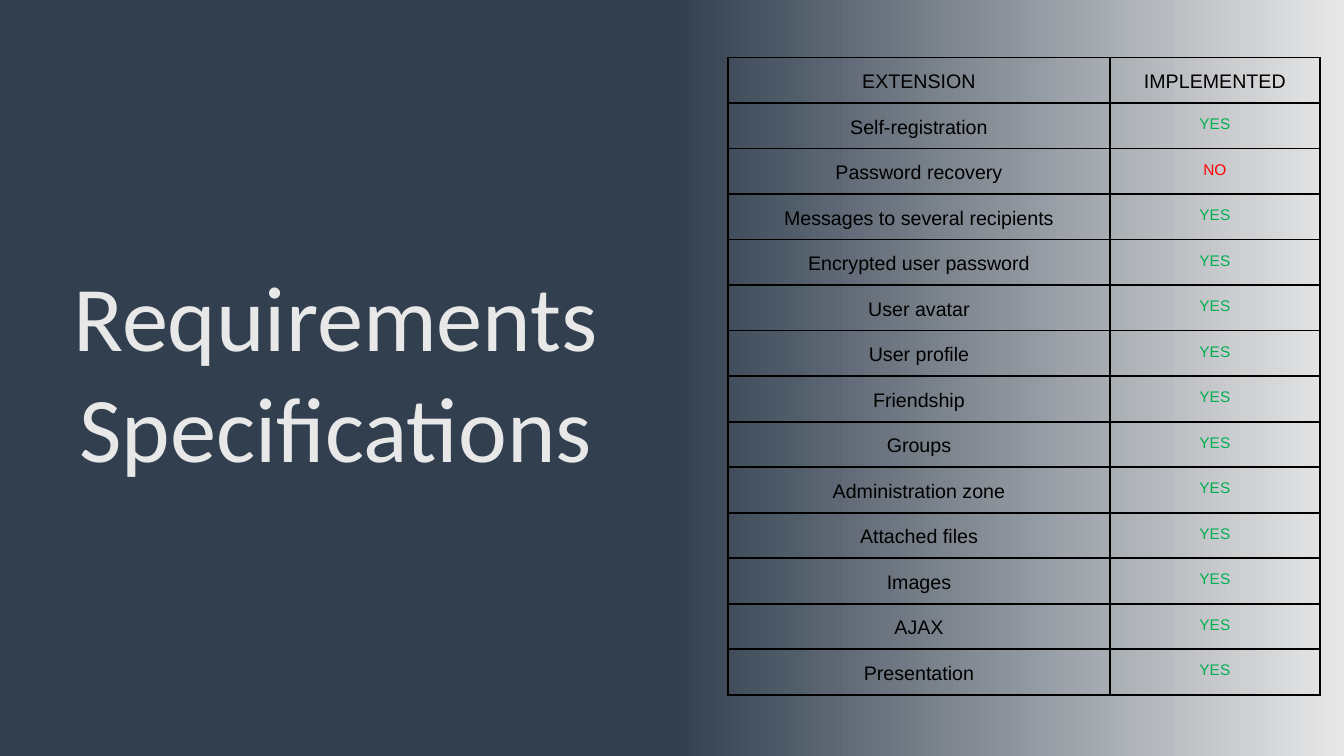
"""Build the requirements specifications slide."""
from copy import deepcopy
from typing import NamedTuple

from lxml import etree
from pptx import Presentation
from pptx.dml.color import RGBColor
from pptx.enum.text import MSO_ANCHOR, MSO_AUTO_SIZE, PP_ALIGN
from pptx.oxml.ns import qn
from pptx.slide import Slide
from pptx.table import _Cell as Cell
from pptx.text.text import TextFrame
from pptx.util import Inches, Pt

CENTER = PP_ALIGN.CENTER
TOP = MSO_ANCHOR.TOP
NO_AUTOFIT = MSO_AUTO_SIZE.NONE
NAVY, LIGHT, BLACK, GREEN, RED = "323F4F", "E8E8E8", "000000", "00B050", "FF0000"
BORDER_SIDES = ("lnL", "lnR", "lnT", "lnB")
COLUMN_WIDTHS = (3.79, 2.08)
ROW_HEIGHT = 0.45
CELL_MARGIN = 0.1


class Extension(NamedTuple):
    """An optional feature and whether it was implemented."""

    name: str
    implemented: bool = True


class TextStyle(NamedTuple):
    """Font, size, colour and line spacing of a text."""

    font: str
    size: float
    color: str
    spacing: float


TITLE_STYLE = TextStyle("Calibri", 66, LIGHT, 1.0)
NAME_STYLE = TextStyle("Arial", 14, BLACK, 1.15)
YES_STYLE = TextStyle("Arial", 11, GREEN, 1.15)
NO_STYLE = TextStyle("Arial", 11, RED, 1.15)

EXTENSIONS = (
    Extension("Self-registration"),
    Extension("Password recovery", False),
    Extension("Messages to several recipients"),
    Extension("Encrypted user password"),
    Extension("User avatar"),
    Extension("User profile"),
    Extension("Friendship"),
    Extension("Groups"),
    Extension("Administration zone"),
    Extension("Attached files"),
    Extension("Images"),
    Extension("AJAX"),
    Extension("Presentation"),
)


def rgb(color: str) -> RGBColor:
    """Turn a hex string into a colour."""
    return RGBColor.from_string(color)


def write_text(text_frame: TextFrame, text: str, style: TextStyle) -> None:
    """Set a centred text and format it."""
    text_frame.text = text
    paragraph = text_frame.paragraphs[0]
    paragraph.alignment = CENTER
    paragraph.line_spacing = style.spacing
    font = paragraph.runs[0].font
    font.name = style.font
    font.size = Pt(style.size)
    font.color.rgb = rgb(style.color)


def paint_background(slide: Slide) -> None:
    """Fill the left half with navy and fade the right half to light grey."""
    fill = slide.background.fill
    fill.gradient()
    fill.gradient_angle = 0
    for stop, position, color in zip(fill.gradient_stops, (0.5, 1.0), (NAVY, LIGHT)):
        stop.position = position
        stop.color.rgb = rgb(color)
    stop_list = slide.element.xpath(".//a:gsLst")[0]
    first_stop = deepcopy(stop_list[0])
    first_stop.set("pos", "0")
    stop_list.insert(0, first_stop)


def add_title(slide: Slide) -> None:
    """Place the slide title on the left half."""
    title = slide.shapes.title
    title.left, title.top = Inches(0), Inches(2.52)
    title.width, title.height = Inches(6.66), Inches(1.58)
    text_frame = title.text_frame
    text_frame.word_wrap = True
    text_frame.auto_size = NO_AUTOFIT
    text_frame.vertical_anchor = TOP
    write_text(text_frame, "Requirements Specifications", TITLE_STYLE)


def outline_cell(cell: Cell) -> None:
    """Draw a black border on all sides of a cell."""
    properties = cell._tc.get_or_add_tcPr()
    for index, side in enumerate(BORDER_SIDES):
        line = etree.Element(qn(f"a:{side}"), w=str(Pt(1.5)))
        solid_fill = etree.SubElement(line, qn("a:solidFill"))
        etree.SubElement(solid_fill, qn("a:srgbClr"), val=BLACK)
        properties.insert(index, line)


def fill_cell(cell: Cell, text: str, style: TextStyle) -> None:
    """Write and format one transparent, bordered cell."""
    write_text(cell.text_frame, text, style)
    cell.margin_left = cell.margin_right = Inches(CELL_MARGIN)
    cell.margin_top = cell.margin_bottom = Inches(CELL_MARGIN)
    cell.vertical_anchor = TOP
    cell.fill.background()
    outline_cell(cell)


def add_extension_table(slide: Slide) -> None:
    """Add the table of extensions and their status."""
    row_count = len(EXTENSIONS) + 1
    table = slide.shapes.add_table(
        row_count, len(COLUMN_WIDTHS), Inches(7.22), Inches(0.57),
        Inches(sum(COLUMN_WIDTHS)), Inches(ROW_HEIGHT * row_count),
    ).table
    table.horz_banding = False
    table.first_row = False
    for column, width in zip(table.columns, COLUMN_WIDTHS):
        column.width = Inches(width)
    for row in table.rows:
        row.height = Inches(ROW_HEIGHT)
    for column_index, heading in enumerate(("EXTENSION", "IMPLEMENTED")):
        fill_cell(table.cell(0, column_index), heading, NAME_STYLE)
    for row_index, extension in enumerate(EXTENSIONS, start=1):
        status, style = ("YES", YES_STYLE) if extension.implemented else ("NO", NO_STYLE)
        fill_cell(table.cell(row_index, 0), extension.name, NAME_STYLE)
        fill_cell(table.cell(row_index, 1), status, style)


def main() -> None:
    """Create and save the presentation."""
    presentation = Presentation()
    presentation.slide_width = Inches(13.33)
    presentation.slide_height = Inches(7.5)
    slide = presentation.slides.add_slide(presentation.slide_layouts.get_by_name("Title Only"))
    paint_background(slide)
    add_title(slide)
    add_extension_table(slide)
    presentation.save("out.pptx")


if __name__ == "__main__":
    main()
